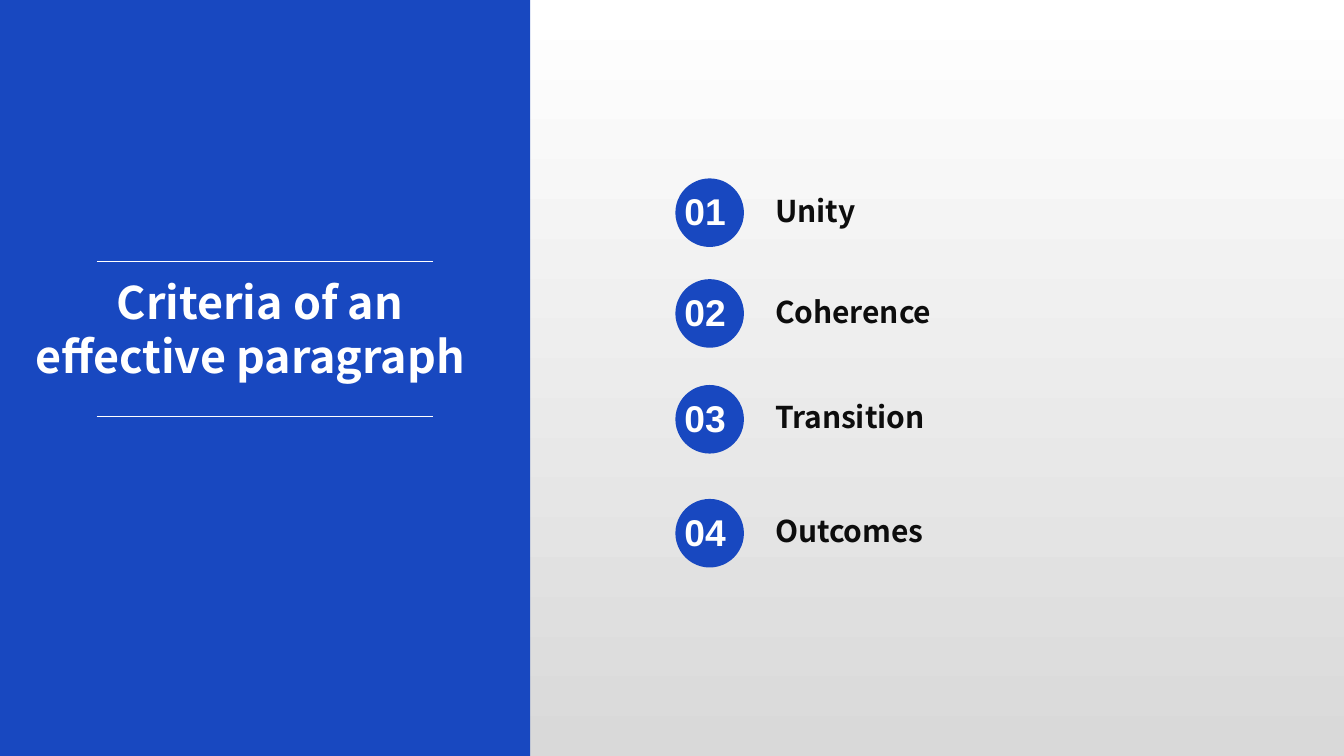
from dataclasses import dataclass

from lxml.etree import SubElement
from pptx import Presentation
from pptx.dml.color import RGBColor
from pptx.enum.shapes import MSO_CONNECTOR, MSO_SHAPE
from pptx.enum.text import MSO_ANCHOR, MSO_AUTO_SIZE, PP_ALIGN
from pptx.oxml.ns import qn
from pptx.util import Inches, Pt

COLORS = {"blue": "1848C0", "white": "FFFFFF", "gray": "D9D9D9", "ink": "0D0D0D"}
HEAD_FONT, NUM_FONT = "Noto Sans CJK SC", "Arial"
WIDTH, HEIGHT = Inches(13.33), Inches(7.5)


@dataclass(frozen=True)
class Box:
    """Position and size in percent of the slide."""
    left: float
    top: float
    width: float
    height: float

    def emu(self) -> tuple[int, int, int, int]:
        return (across(self.left), down(self.top),
                across(self.width), down(self.height))


@dataclass(frozen=True)
class Criterion:
    top: float
    label: str


PANEL = Box(0, 0, 39.45, 100)
TITLE = Box(1.88, 35.73, 35.7, 16.8)
RULE_LEFT, RULE_RIGHT = 7.2, 32.25
RULE_TOPS = (34.53, 55.07)
CRITERIA = (
    Criterion(23.6, "Unity"),
    Criterion(36.93, "Coherence"),
    Criterion(50.93, "Transition"),
    Criterion(66, "Outcomes"),
)


def across(share: float) -> int:
    return round(WIDTH * share / 100)


def down(share: float) -> int:
    return round(HEIGHT * share / 100)


def rgb(name: str) -> RGBColor:
    return RGBColor.from_string(COLORS[name])


def write(p, text: str, *, size: float, color: str, font: str, align=PP_ALIGN.LEFT) -> None:
    p.alignment = align
    r = p.add_run()
    r.text = text
    r.font.size, r.font.name, r.font.bold = Pt(size), font, True
    r.font.color.rgb = rgb(color)


def add_filled(shapes, kind, box: Box) -> None:
    sp = shapes.add_shape(kind, *box.emu())
    sp.shadow.inherit = False
    sp.fill.solid()
    sp.fill.fore_color.rgb = rgb("blue")
    sp.line.fill.background()


def add_text(shapes, box: Box, text: str, **style) -> None:
    tf = shapes.add_textbox(*box.emu()).text_frame
    tf.word_wrap = True
    tf.auto_size = MSO_AUTO_SIZE.SHAPE_TO_FIT_TEXT
    write(tf.paragraphs[0], text, **style)


def add_rule(shapes, top: float) -> None:
    cx = shapes.add_connector(MSO_CONNECTOR.STRAIGHT, across(RULE_LEFT), down(top),
                              across(RULE_RIGHT), down(top))
    cx.line.color.rgb = rgb("white")
    cx.line.width = Pt(0.5)
    SubElement(cx.element.spPr, qn("a:effectLst"))


def add_criterion(s, number: int, item: Criterion) -> None:
    badge = s.shapes.add_group_shape().shapes
    add_filled(badge, MSO_SHAPE.OVAL, Box(50.25, item.top, 5.1, 9.07))
    add_text(badge, Box(50.18, item.top + 0.67, 4.58, 7.33), f"{number:02}",
             size=26.6, color="white", font=NUM_FONT)
    add_text(s.shapes, Box(56.93, item.top + 1.2, 39.83, 6.13), item.label,
             size=21.4, color="ink", font=HEAD_FONT)


def place_title(s) -> None:
    sp = s.shapes.title
    sp.left, sp.top, sp.width, sp.height = TITLE.emu()
    s.shapes.element.append(sp.element)
    tf = sp.text_frame
    tf.word_wrap = False
    tf.auto_size = MSO_AUTO_SIZE.NONE
    tf.vertical_anchor = MSO_ANCHOR.TOP
    style = dict(size=32, color="white", font=HEAD_FONT)
    write(tf.paragraphs[0], "Criteria of an ", align=PP_ALIGN.CENTER, **style)
    write(tf.add_paragraph(), "effective paragraph", align=PP_ALIGN.JUSTIFY, **style)


def paint_background(s) -> None:
    fill = s.background.fill
    fill.gradient()
    fill.gradient_angle = 270
    for stop, position, color in zip(fill.gradient_stops, (0, 1), ("white", "gray")):
        stop.position = position
        stop.color.rgb = rgb(color)


def main() -> None:
    prs = Presentation()
    prs.slide_width, prs.slide_height = WIDTH, HEIGHT
    s = prs.slides.add_slide(prs.slide_layouts[5])
    paint_background(s)
    add_filled(s.shapes, MSO_SHAPE.RECTANGLE, PANEL)
    for top in RULE_TOPS:
        add_rule(s.shapes, top)
    place_title(s)
    for number, item in enumerate(CRITERIA, 1):
        add_criterion(s, number, item)
    prs.save("out.pptx")


if __name__ == "__main__":
    main()
